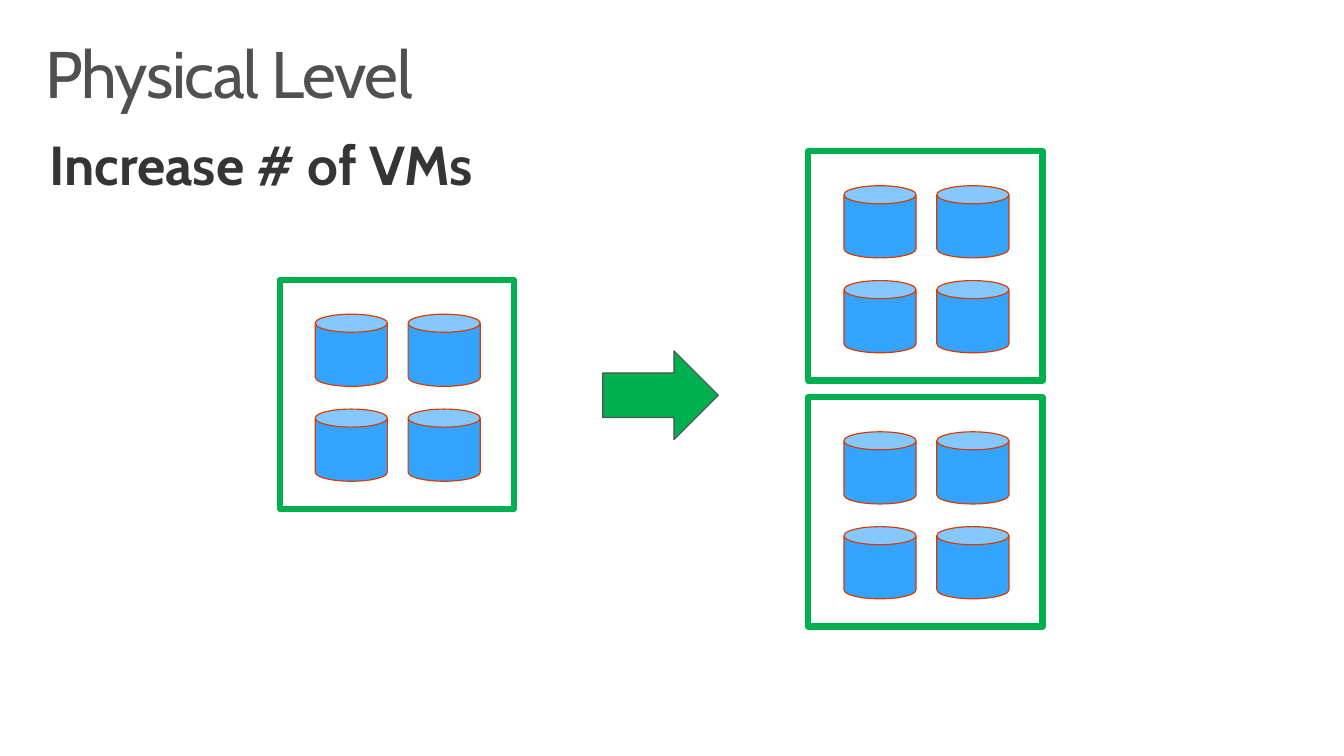
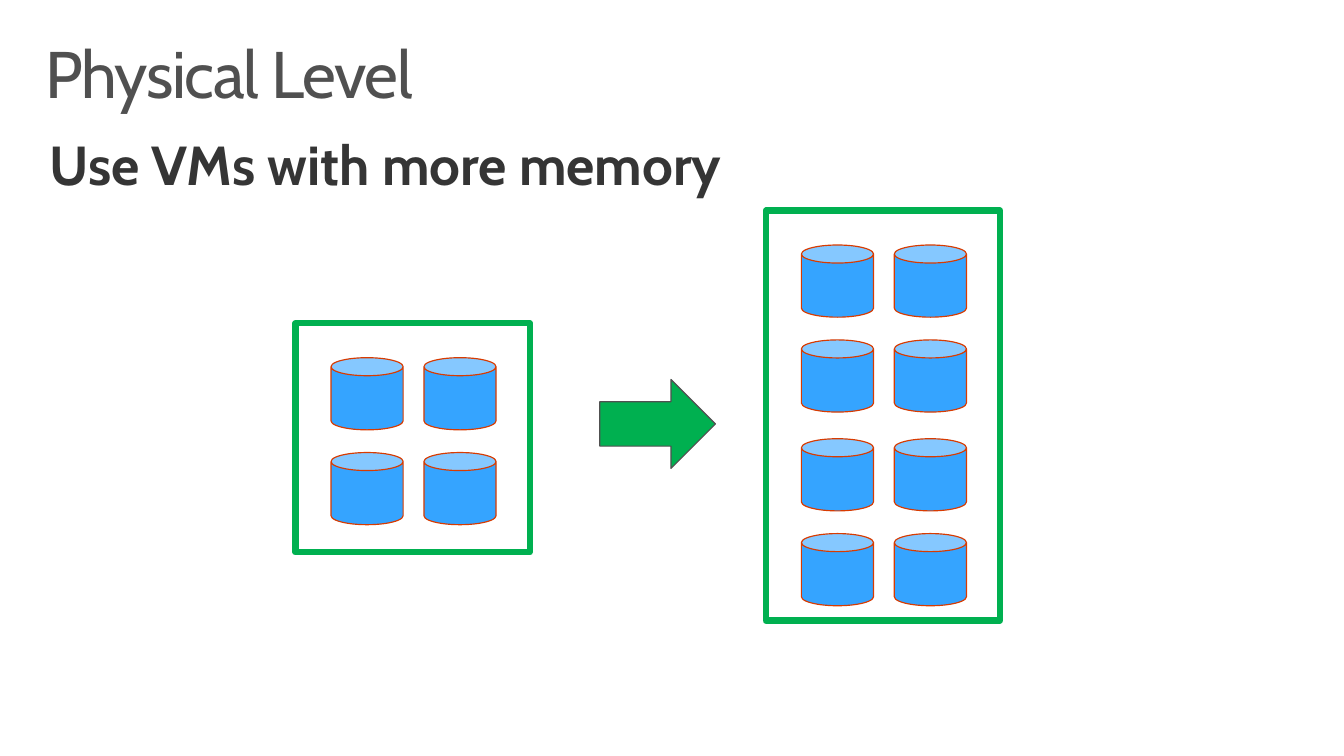
from lxml.etree import SubElement as Sub
from pptx import Presentation
from pptx.dml.color import RGBColor as Rgb
from pptx.enum.shapes import MSO_SHAPE as Geo
from pptx.enum.text import MSO_ANCHOR as Anchor
from pptx.oxml.ns import qn
from pptx.util import Inches as In, Pt

SLIDES = [
    {"title": "Physical Level", "head": "Increase # of VMs", "arrow": (6.1, 3.55),
     "vms": [(8.18, 1.53, 2), (2.83, 2.83, 2), (8.18, 4.02, 2)]},
    {"title": "Physical Level", "head": "Use VMs with more memory", "arrow": (6.07, 3.84),
     "vms": [(2.99, 3.27, 2), (7.75, 2.13, 4)]},
]
THEME = {
    "title": {"name": "Cabin", "size": Pt(48), "bold": False, "color": "505050"},
    "head": {"name": "Cabin", "size": Pt(40), "bold": True, "color": "353535"},
    "vm": (None, "00B050", 4.5),
    "disk": ("35A4FF", "D83B01", 0.85),
    "arrow": ("00B050", "505050", 0.85),
}
BOXES = {
    "title": {"at": (0.3, 0.32, 13, 1), "pad": (0.16, 0.1), "after": 0, "track": -100},
    "head": {"at": (0.3, 1.24, 7.75, 1.38), "pad": (0.2, 0.16), "after": 6, "track": 0},
}
SIZE = 13.6, 7.65
VM_W, VM_H = 2.37, {2: 2.32, 4: 4.15}
DISK, INSET = 0.73, (0.36, 0.35)
COL, ROW, PAIR = 0.94, 0.96, 1.96
ARROW = 1.17, 0.9


def write(slide, role, text):
    """Place one line of text in the box of its role."""
    box = BOXES[role]
    frame = slide.shapes.add_textbox(*map(In, box["at"])).text_frame
    side, top = map(In, box["pad"])
    form = {"word_wrap": True, "vertical_anchor": Anchor.TOP, "margin_left": side,
            "margin_right": side, "margin_top": top, "margin_bottom": top}
    for key, val in form.items():
        setattr(frame, key, val)
    para = frame.paragraphs[0]
    para.line_spacing, para.space_after = 0.9, Pt(box["after"])
    run = para.add_run()
    run.text = text
    for key, val in THEME[role].items():
        if key == "color":
            run.font.color.rgb = Rgb.from_string(val)
        else:
            setattr(run.font, key, val)
    run._r.get_or_add_rPr().set("spc", str(box["track"]))


def draw(shapes, geo, role, *at):
    """Add a preset shape in the style of its role."""
    fill, line, width = THEME[role]
    shape = shapes.add_shape(geo, *map(In, at))
    shape.shadow.inherit = False
    if fill:
        shape.fill.solid()
        shape.fill.fore_color.rgb = Rgb.from_string(fill)
    else:
        shape.fill.background()
    shape.line.color.rgb = Rgb.from_string(line)
    shape.line.width = Pt(width)
    Sub(shape.line._get_or_add_ln(), qn("a:round"))


def add_vm(slide, left, top, rows):
    """Group a machine frame with two columns of disks."""
    group = slide.shapes.add_group_shape().shapes
    draw(group, Geo.RECTANGLE, "vm", left, top, VM_W, VM_H[rows])
    for row in range(rows):
        for col in range(2):
            x = left + INSET[0] + col * COL
            y = top + INSET[1] + row // 2 * PAIR + row % 2 * ROW
            draw(group, Geo.CAN, "disk", x, y, DISK, DISK)


def main():
    """Build and save the deck."""
    deck = Presentation()
    deck.slide_width, deck.slide_height = map(In, SIZE)
    for data in SLIDES:
        slide = deck.slides.add_slide(deck.slide_layouts[6])
        write(slide, "title", data["title"])
        for vm in data["vms"]:
            add_vm(slide, *vm)
        draw(slide.shapes, Geo.RIGHT_ARROW, "arrow", *data["arrow"], *ARROW)
        write(slide, "head", data["head"])
    deck.save("out.pptx")


if __name__ == "__main__":
    main()
